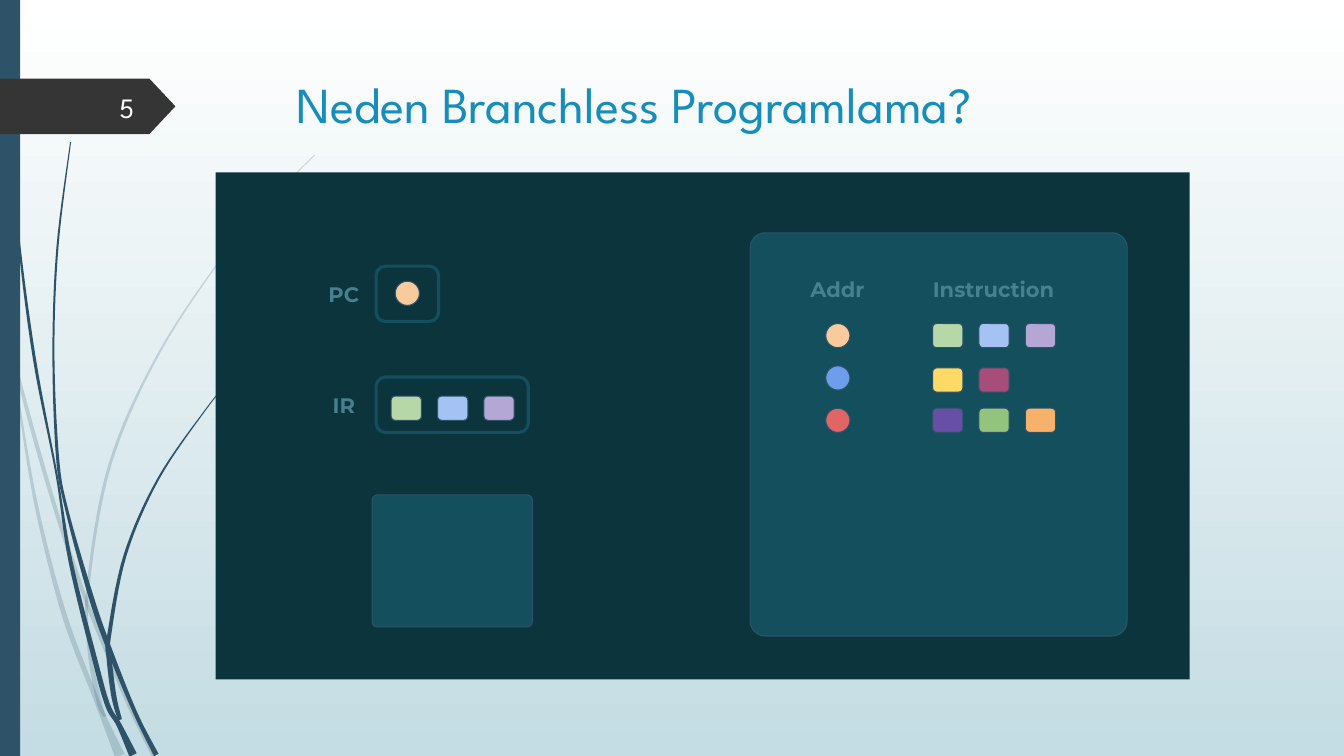
from dataclasses import dataclass

from lxml import etree
from pptx import Presentation
from pptx.dml.color import RGBColor
from pptx.enum.shapes import MSO_SHAPE
from pptx.enum.text import MSO_ANCHOR, MSO_AUTO_SIZE, PP_ALIGN
from pptx.oxml.ns import qn
from pptx.util import Pt

PX = 9144  # EMU per px, 100 px to the inch
RECT, ROUNDED, OVAL, TAG = (MSO_SHAPE.RECTANGLE, MSO_SHAPE.ROUNDED_RECTANGLE,
                            MSO_SHAPE.OVAL, MSO_SHAPE.PENTAGON)
TOP, MIDDLE = MSO_ANCHOR.TOP, MSO_ANCHOR.MIDDLE
LEFT, CENTER, RIGHT = PP_ALIGN.LEFT, PP_ALIGN.CENTER, PP_ALIGN.RIGHT
NO_FIT, GROW = MSO_AUTO_SIZE.NONE, MSO_AUTO_SIZE.SHAPE_TO_FIT_TEXT
HEADING_FONT, LABEL_FONT = "League Spartan", "Montserrat"

COLORS = {
    "sky_top": "FFFFFF", "sky_bottom": "C4DCE3", "navy": "2E5369", "tag": "353535",
    "title": "168DBA", "number": "FEFFFF", "panel": "0C343D", "teal": "134F5C",
    "label": "45818E", "peach": "F9CB9C", "blue": "6D9EEB", "red": "E06666",
    "mint": "B6D7A8", "sky": "A4C2F4", "lilac": "B4A7D6", "yellow": "FFD966",
    "plum": "A64D79", "violet": "674EA7", "green": "93C47D", "orange": "F6B26B",
}


@dataclass(frozen=True)
class Blade:
    """Grass blade: knots of x, y and thickness, and opacity in percent."""
    knots: list[tuple[int, int, int]]
    opacity: int = 100


@dataclass(frozen=True)
class Block:
    kind: int
    box: tuple[int, int, int, int]
    fill: str | None
    line: str | None = None
    weight: float = 0.75
    corner: float | None = None


@dataclass(frozen=True)
class Label:
    text: str
    box: tuple[int, int, int, int]


@dataclass(frozen=True)
class MemoryRow:
    address: str
    address_y: int
    opcode: list[str]
    opcode_y: int


BLADES = [
    Blade([(0, 290, 3), (13, 352, 3), (34, 433, 4), (60, 521, 4), (84, 592, 4),
           (90, 608, 4), (125, 693, 4), (153, 750, 5)], 20),
    Blade([(12, 355, 1), (30, 470, 3), (46, 545, 4), (67, 620, 5), (94, 690, 5),
           (104, 715, 6), (119, 750, 10)], 20),
    Blade([(312, 154, 1), (268, 198, 1), (228, 245, 1), (159, 348, 2), (109, 461, 3),
           (87, 585, 3), (89, 646, 4), (98, 695, 5), (104, 711, 3)], 20),
    Blade([(4, 0, 1), (8, 110, 1), (18, 232, 2), (34, 355, 3), (56, 470, 2),
           (70, 557, 4), (95, 658, 5), (107, 700, 5), (118, 719, 5), (132, 749, 8)]),
    Blade([(70, 141, 1), (57, 245, 2), (53, 349, 2), (57, 453, 3), (66, 505, 3),
           (90, 591, 5), (108, 643, 5), (134, 707, 4), (155, 749, 5)]),
    Blade([(260, 344, 1), (231, 374, 1), (205, 405, 1), (157, 475, 2), (124, 551, 3),
           (108, 632, 4), (108, 651, 5), (113, 691, 5), (119, 714, 4)]),
]
BLOCKS = [
    Block(RECT, (0, 0, 20, 750), "navy"),
    Block(TAG, (0, 78, 174, 55), "tag", corner=0.47),
    Block(RECT, (214, 171, 966, 503), "panel"),
    Block(ROUNDED, (744, 231, 374, 400), "teal", "navy", corner=0.04),
    Block(ROUNDED, (373, 264, 62, 55), None, "teal", 2.25, 0.17),
    Block(ROUNDED, (373, 374, 151, 55), None, "teal", 2.25, 0.17),
    Block(ROUNDED, (369, 491, 159, 131), "teal", "navy", corner=0.04),
]
LABELS = [
    Label("PC", (315, 269, 52, 45)),
    Label("IR", (315, 379, 52, 45)),
    Label("Addr", (774, 264, 113, 45)),
    Label("Instruction", (910, 264, 151, 45)),
]
MEMORY = [
    MemoryRow("peach", 321, ["mint", "sky", "lilac"], 321),
    MemoryRow("blue", 363, ["yellow", "plum"], 365),
    MemoryRow("red", 405, ["violet", "green", "orange"], 405),
]
DOT, CHIP_W, CHIP_STEP = 24, 30, 46
ADDRESS_X, OPCODE_X = 819, 925


def rgb(name: str) -> RGBColor:
    return RGBColor.from_string(COLORS[name])


def paint(shape, fill: str | None, line: str | None = None, weight: float = 0.75) -> None:
    shape.shadow.inherit = False
    if fill:
        shape.fill.solid()
        shape.fill.fore_color.rgb = rgb(fill)
    else:
        shape.fill.background()
    if line:
        shape.line.color.rgb = rgb(line)
        shape.line.width = Pt(weight)
    else:
        shape.line.fill.background()


def draw_block(slide, block: Block) -> None:
    shape = slide.shapes.add_shape(block.kind, *(v * PX for v in block.box))
    if block.corner is not None:
        shape.adjustments[0] = block.corner
    paint(shape, block.fill, block.line, block.weight)


def smooth(knots: list[tuple[int, int, int]], steps: int = 8) -> list[tuple[float, ...]]:
    """Catmull-Rom curve through the knots."""
    padded = [knots[0], *knots, knots[-1]]
    curve = []
    for quad in zip(padded, padded[1:], padded[2:], padded[3:]):
        for t in (i / steps for i in range(steps)):
            curve.append(tuple(
                b + 0.5 * t * (c - a + t * (2 * a - 5 * b + 4 * c - d
                                            + t * (3 * b - 3 * c + d - a)))
                for a, b, c, d in zip(*quad)))
    return [*curve, knots[-1]]


def draw_blade(slide, blade: Blade) -> None:
    curve = smooth(blade.knots)
    left, right = [], []
    for i, (x, y, thickness) in enumerate(curve):
        before, after = curve[max(i - 1, 0)], curve[min(i + 1, len(curve) - 1)]
        dx, dy = after[0] - before[0], after[1] - before[1]
        half = thickness / 2 / (dx * dx + dy * dy) ** 0.5
        for edge, side in ((left, half), (right, -half)):
            edge.append((max(0, round((x + dy * side) * PX)), round((y - dx * side) * PX)))
    outline = left + right[::-1]
    builder = slide.shapes.build_freeform(*outline[0], scale=1.0)
    builder.add_line_segments(outline[1:], close=True)
    shape = builder.convert_to_shape()
    paint(shape, "navy")
    if blade.opacity < 100:
        color = shape._element.spPr.find(f"{qn('a:solidFill')}/{qn('a:srgbClr')}")
        etree.SubElement(color, qn("a:alpha"), val=str(blade.opacity * 1000))


def write(shape, text: str, font: str, size: int, color: str, align=LEFT, anchor=TOP,
          fit=NO_FIT, bold: bool = False, inset: int = 5) -> None:
    frame = shape.text_frame
    frame.word_wrap, frame.auto_size, frame.vertical_anchor = True, fit, anchor
    frame.margin_left = frame.margin_right = 10 * PX
    frame.margin_top = frame.margin_bottom = inset * PX
    paragraph = frame.paragraphs[0]
    paragraph.alignment = align
    run = paragraph.add_run()
    run.text = text
    run.font.name, run.font.size, run.font.bold = font, Pt(size), bold
    run.font.color.rgb = rgb(color)


def draw_dot(slide, x: int, y: int, color: str) -> None:
    draw_block(slide, Block(OVAL, (x, y, DOT, DOT), color, "navy"))


def draw_opcode(slide, x: int, y: int, colors: list[str]) -> None:
    for i, color in enumerate(colors):
        box = (x + i * CHIP_STEP, y, CHIP_W, DOT)
        draw_block(slide, Block(ROUNDED, box, color, "navy", corner=0.17))


def main() -> None:
    deck = Presentation()
    deck.slide_width, deck.slide_height = 1333 * PX, 750 * PX
    slide = deck.slides.add_slide(deck.slide_layouts[5])

    sky = slide.background.fill
    sky.gradient()
    sky.gradient_angle = 270
    for stop, position, color in zip(sky.gradient_stops, (0, 1), ("sky_top", "sky_bottom")):
        stop.position, stop.color.rgb = position, rgb(color)

    heading = slide.shapes.title
    heading.left, heading.top, heading.width, heading.height = (
        v * PX for v in (284, 68, 975, 140))
    write(heading, "Neden Branchless Programlama?", HEADING_FONT, 36, "title")

    for blade in BLADES:
        draw_blade(slide, blade)
    for block in BLOCKS:
        draw_block(slide, block)
    page_number = slide.shapes.add_textbox(*(v * PX for v in (58, 86, 85, 40)))
    write(page_number, "5", HEADING_FONT, 20, "number", RIGHT, MIDDLE)
    for label in LABELS:
        caption = slide.shapes.add_textbox(*(v * PX for v in label.box))
        write(caption, label.text, LABEL_FONT, 15, "label", CENTER, fit=GROW,
              bold=True, inset=10)

    for row in MEMORY:
        draw_dot(slide, ADDRESS_X, row.address_y, row.address)
        draw_opcode(slide, OPCODE_X, row.opcode_y, row.opcode)
    current = MEMORY[0]
    draw_dot(slide, 392, 279, current.address)
    draw_opcode(slide, 388, 393, current.opcode)

    deck.save("out.pptx")


if __name__ == "__main__":
    main()
